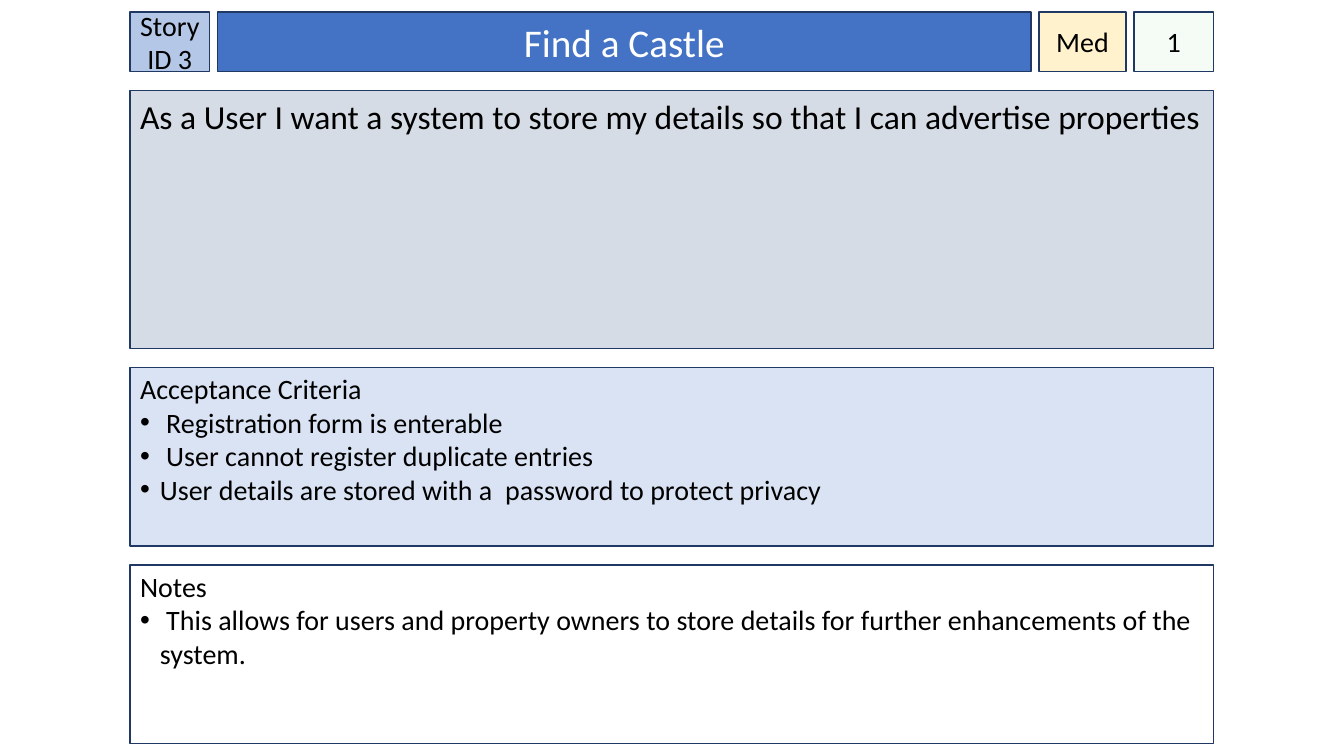
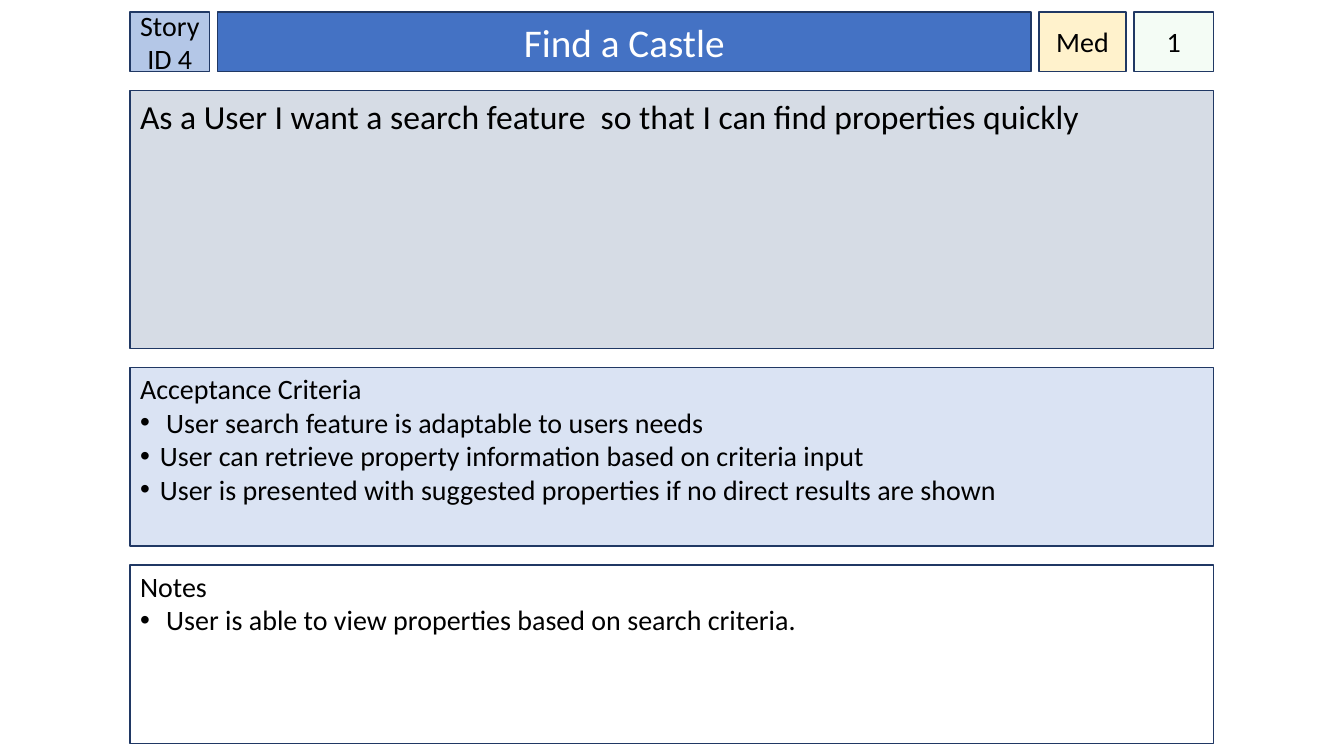
"""Build user story cards, one card per slide."""
import lxml.etree
import pptx
import pptx.dml.color
import pptx.enum.shapes
import pptx.enum.text
import pptx.oxml.ns
import pptx.util

Cm = pptx.util.Cm
RGBColor = pptx.dml.color.RGBColor
Align = pptx.enum.text.PP_ALIGN
Anchor = pptx.enum.text.MSO_ANCHOR
qn = pptx.oxml.ns.qn

STORIES = [
    {
        "id": "Story ID 3", "title": "Find a Castle", "priority": "Med", "estimate": "1",
        "story": "As a User I want a system to store my details so that I can advertise properties",
        "criteria": [
            " Registration form is enterable",
            " User cannot register duplicate entries",
            "User details are stored with a  password to protect privacy",
        ],
        "notes": [" This allows for users and property owners to store details"
                  " for further enhancements of the system."],
    },
    {
        "id": "Story ID 4", "title": "Find a Castle", "priority": "Med", "estimate": "1",
        "story": "As a User I want a search feature  so that I can find properties quickly",
        "criteria": [
            " User search feature is adaptable to users needs",
            "User can retrieve property information based on criteria input",
            "User is presented with suggested properties if no direct results are shown",
        ],
        "notes": [" User is able to view properties based on search criteria."],
    },
]

FONT = "Calibri"
BLACK = RGBColor(0x00, 0x00, 0x00)
WHITE = RGBColor(0xFF, 0xFF, 0xFF)
NAVY = RGBColor(0x20, 0x38, 0x64)
BLUE = RGBColor(0x44, 0x72, 0xC4)
LIGHT_BLUE = RGBColor(0xB4, 0xC7, 0xE7)
PALE_BLUE = RGBColor(0xDA, 0xE3, 0xF3)
GREY = RGBColor(0xD6, 0xDC, 0xE5)
CREAM = RGBColor(0xFF, 0xF2, 0xCC)
GREEN = RGBColor(0xCC, 0xF0, 0xCD)

LEFT, TOP = 3.28, 0.3
HEADER_HEIGHT, HEADER_GAP, PANEL_GAP = 1.5, 0.2, 0.48
BULLET_INDENT = Cm(0.5)

BADGE = {"margin_x": 0}
HEADER = [
    ("id", 2, {"fill": LIGHT_BLUE, **BADGE}),
    ("title", 20.5, {"fill": BLUE, "size": 28, "color": WHITE}),
    ("priority", 2.2, {"fill": CREAM, "wrap": False, **BADGE}),
    ("estimate", 2, {"fill": GREEN, "opacity": 20, **BADGE}),
]
PANELS = [
    ("story", None, 6.5, {"fill": GREY, "size": 24}),
    ("criteria", "Acceptance Criteria", 4.5, {"fill": PALE_BLUE, "margin_top": 0.1}),
    ("notes", "Notes", 4.5, {"fill": WHITE, "margin_top": 0.1}),
]
PANEL_WIDTH = sum(width for _, width, _ in HEADER) + HEADER_GAP * (len(HEADER) - 1)


def write_text(frame, text, bullets=(), size=20, color=BLACK, align=Align.CENTER):
    """Write an optional lead line and its bullets into a text frame."""
    for index, line in enumerate([text, *bullets]):
        para = frame.paragraphs[0] if index == 0 else frame.add_paragraph()
        para.alignment = align
        span = para.add_run()
        span.text = line
        span.font.name = FONT
        span.font.size = pptx.util.Pt(size)
        span.font.color.rgb = color
        if index:
            props = para._p.get_or_add_pPr()
            props.set("marL", str(BULLET_INDENT))
            props.set("indent", str(-BULLET_INDENT))
            lxml.etree.SubElement(props, qn("a:buFont")).set("typeface", "Arial")
            lxml.etree.SubElement(props, qn("a:buChar")).set("char", "•")


def add_box(page, left, top, width, height, text, fill, opacity=100, wrap=True,
            anchor=Anchor.MIDDLE, margin_x=0.25, margin_top=0.13, **text_format):
    """Add an outlined rectangle holding text; lengths are in centimetres."""
    box = page.shapes.add_shape(pptx.enum.shapes.MSO_SHAPE.RECTANGLE,
                                Cm(left), Cm(top), Cm(width), Cm(height))
    box.shadow.inherit = False
    box.fill.solid()
    box.fill.fore_color.rgb = fill
    if opacity < 100:
        color = box._element.spPr.find(qn("a:solidFill")).find(qn("a:srgbClr"))
        lxml.etree.SubElement(color, qn("a:alpha")).set("val", str(opacity * 1000))
    box.line.color.rgb = NAVY
    box.line.width = pptx.util.Pt(1)
    frame = box.text_frame
    frame.word_wrap = wrap
    frame.vertical_anchor = anchor
    frame.margin_left = frame.margin_right = Cm(margin_x)
    frame.margin_top, frame.margin_bottom = Cm(margin_top), Cm(0.13)
    write_text(frame, text, **text_format)


def add_card(deck, story):
    """Add one slide with the header row and the stacked panels of a story."""
    page = deck.slides.add_slide(deck.slide_layouts[6])
    left = LEFT
    for key, width, style in HEADER:
        add_box(page, left, TOP, width, HEADER_HEIGHT, story[key], **style)
        left += width + HEADER_GAP
    top = TOP + HEADER_HEIGHT + PANEL_GAP
    for key, heading, height, style in PANELS:
        text, bullets = (heading, story[key]) if heading else (story[key], ())
        add_box(page, LEFT, top, PANEL_WIDTH, height, text, bullets=bullets,
                anchor=Anchor.TOP, align=Align.LEFT, **style)
        top += height + PANEL_GAP


def main():
    """Build the deck and save it."""
    deck = pptx.Presentation()
    deck.slide_width, deck.slide_height = Cm(33.87), Cm(19.05)
    for story in STORIES:
        add_card(deck, story)
    deck.save("out.pptx")


if __name__ == "__main__":
    main()
